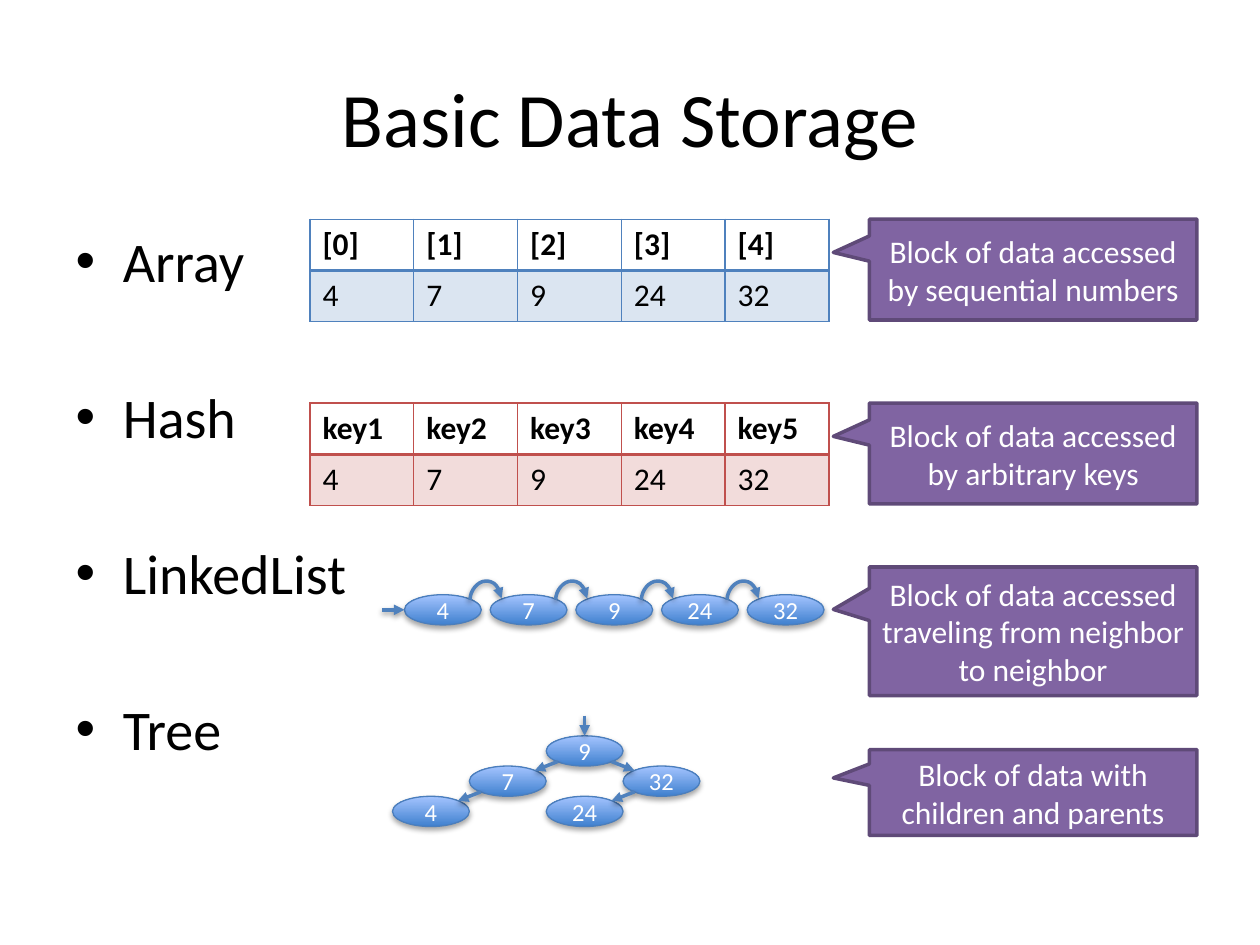
from lxml import etree
from pptx import Presentation
from pptx.dml.color import RGBColor
from pptx.enum.shapes import MSO_CONNECTOR, MSO_SHAPE
from pptx.enum.text import MSO_ANCHOR, PP_ALIGN
from pptx.oxml.ns import qn
from pptx.util import Inches, Pt

STRAIGHT, CURVE = MSO_CONNECTOR.STRAIGHT, MSO_CONNECTOR.CURVE
OVAL, CALLOUT = MSO_SHAPE.OVAL, MSO_SHAPE.RECTANGULAR_CALLOUT
MIDDLE, CENTER = MSO_ANCHOR.MIDDLE, PP_ALIGN.CENTER

FONT = "Calibri"
BLACK = RGBColor(0x00, 0x00, 0x00)
WHITE = RGBColor(0xFF, 0xFF, 0xFF)
BLUE = RGBColor(0x4F, 0x81, 0xBD)
RED = RGBColor(0xC0, 0x50, 0x4D)
PURPLE = RGBColor(0x80, 0x64, 0xA2)
PLUM = RGBColor(0x5F, 0x4A, 0x78)
DARK = RGBColor(0x3F, 0x80, 0xCE)
LIGHT = RGBColor(0xA4, 0xC4, 0xFF)
EDGE = RGBColor(0x4B, 0x7E, 0xBC)

TITLE = "Basic Data Storage"
ITEMS = ["Array", "Hash", "LinkedList", "Tree"]
VALUES = ["4", "7", "9", "24", "32"]
TABLES = [
    (1.74, BLUE, ["[0]", "[1]", "[2]", "[3]", "[4]"]),
    (3.2, RED, ["key1", "key2", "key3", "key4", "key5"]),
]
NOTES = [
    (1.74, 0.8, "Block of data accessed by sequential numbers"),
    (3.2, 0.8, "Block of data accessed by arbitrary keys"),
    (4.5, 1.02, "Block of data accessed traveling from neighbor to neighbor"),
    (5.95, 0.68, "Block of data with children and parents"),
]
TREE = {"9": (0, 0), "32": (1, 1), "24": (0, 2), "7": (-1, 1), "4": (-2, 2)}
LINKS = [("9", "7"), ("9", "32"), ("7", "4"), ("32", "24")]

NODE_W, NODE_H = 0.61, 0.24
ROOT_X, ROOT_Y = 4.64, 5.96
LIST_X, LIST_Y, STEP = 3.21, 4.72, 0.68
ARC_W, ARC_H, ARC_BUMP = 0.25, 0.01, 15
TRIM = 0.35


def style(para, size, color, bold=False):
    font = para.font
    font.name, font.size, font.bold = FONT, Pt(size), bold
    font.color.rgb = color


def sub(parent, tag, **attrs):
    return etree.SubElement(parent, qn(tag), attrs)


def shade(effects, dist, alpha):
    outer = sub(effects, "a:outerShdw", blurRad=str(Pt(3.1)), dist=str(Pt(dist)),
                dir="5400000", rotWithShape="0")
    sub(sub(outer, "a:srgbClr", val="000000"), "a:alpha", val=str(alpha * 1000))


def label(shape, text, size):
    frame = shape.text_frame
    frame.word_wrap = True
    frame.vertical_anchor = MIDDLE
    para = frame.paragraphs[0]
    para.text, para.alignment = text, CENTER
    style(para, size, WHITE)


def add_node(text, left, top):
    node = shapes.add_shape(OVAL, Inches(left), Inches(top), Inches(NODE_W), Inches(NODE_H))
    node.fill.gradient()
    node.fill.gradient_angle = 90
    for stop, color in zip(node.fill.gradient_stops, (DARK, LIGHT)):
        stop.color.rgb = color
    node.line.color.rgb, node.line.width = EDGE, Pt(0.75)
    node.shadow.inherit = False
    shade(node._element.spPr.find(qn("a:effectLst")), 1.8, 35)
    label(node, text, 14)


def add_arrow(kind, x1, y1, x2, y2):
    arrow = shapes.add_connector(kind, Inches(x1), Inches(y1), Inches(x2), Inches(y2))
    arrow.line.color.rgb, arrow.line.width = BLUE, Pt(2)
    props = arrow._element.spPr
    sub(props.find(qn("a:ln")), "a:tailEnd", type="triangle")
    shade(sub(props, "a:effectLst"), 1.6, 38)
    return props


def add_arc(left, top):
    x, y = left + (ARC_W - ARC_H) / 2, top - (ARC_W - ARC_H) / 2
    props = add_arrow(CURVE, x + ARC_H, y + ARC_W, x, y)
    props.find(qn("a:xfrm")).set("rot", "5400000")
    guides = props.find(qn("a:prstGeom")).find(qn("a:avLst"))
    sub(guides, "a:gd", name="adj1", fmla=f"val {ARC_BUMP * 100000}")


def add_grid(top, color, heads):
    grid = shapes.add_table(2, len(heads), Inches(2.46), Inches(top),
                            Inches(4.12), Inches(0.81)).table
    grid.first_row = grid.horz_banding = False
    for r, row in enumerate((heads, VALUES)):
        for c, text in enumerate(row):
            cell = grid.cell(r, c)
            para = cell.text_frame.paragraphs[0]
            para.text = text
            style(para, 18, BLACK, r == 0)
            props = cell._tc.get_or_add_tcPr()
            for side in "LRTB":
                thick = side == "TB"[1 - r] if r else side == "B"
                line = sub(props, f"a:ln{side}", w=str(Pt(2 if thick else 1)))
                sub(sub(line, "a:solidFill"), "a:srgbClr", val=str(color))
            if r == 0:
                cell.fill.background()
            else:
                cell.fill.solid()
                cell.fill.fore_color.rgb = color
                tint = props.find(qn("a:solidFill")).find(qn("a:srgbClr"))
                sub(tint, "a:alpha", val="20000")


def add_note(top, height, text):
    note = shapes.add_shape(CALLOUT, Inches(6.9), Inches(top), Inches(2.6), Inches(height))
    note.adjustments[0], note.adjustments[1] = -0.61, -0.17
    note.fill.solid()
    note.fill.fore_color.rgb = PURPLE
    note.line.color.rgb, note.line.width = PLUM, Pt(2)
    note.shadow.inherit = False
    label(note, text, 18)


def place(holder, top, height):
    holder.left, holder.top = Inches(0.5), Inches(top)
    holder.width, holder.height = Inches(9), Inches(height)


deck = Presentation()
deck.slide_width, deck.slide_height = Inches(10), Inches(7.5)
slide = deck.slides.add_slide(deck.slide_layouts[1])
shapes = slide.shapes

title, body = shapes.title, slide.placeholders[1]
place(title, 0.3, 1.25)
title.text_frame.text = TITLE
style(title.text_frame.paragraphs[0], 44, BLACK)

place(body, 1.75, 4.95)
body.text_frame.text = "\n".join(ITEMS)
for i, para in enumerate(body.text_frame.paragraphs):
    para.space_before = Pt(50.6 if i else 0)
    style(para, 32, BLACK)

for table in TABLES:
    add_grid(*table)
for note in NOTES:
    add_note(*note)

spots = {key: (ROOT_X + col * NODE_W, ROOT_Y + row * NODE_H)
         for key, (col, row) in TREE.items()}
for key, (x, y) in spots.items():
    add_node(key, x - NODE_W / 2, y - NODE_H / 2)
for start, end in LINKS:
    (x1, y1), (x2, y2) = spots[start], spots[end]
    dx, dy = (x2 - x1) * TRIM, (y2 - y1) * TRIM
    add_arrow(STRAIGHT, x1 + dx, y1 + dy, x2 - dx, y2 - dy)
add_arrow(STRAIGHT, ROOT_X, 5.68, ROOT_X, 5.84)

for i, value in enumerate(VALUES):
    add_node(value, LIST_X + i * STEP, LIST_Y)
for i in range(len(VALUES) - 1):
    add_arc(LIST_X + i * STEP + 0.52, 4.75)
add_arrow(STRAIGHT, 3.03, 4.84, LIST_X, 4.84)

deck.save("out.pptx")
